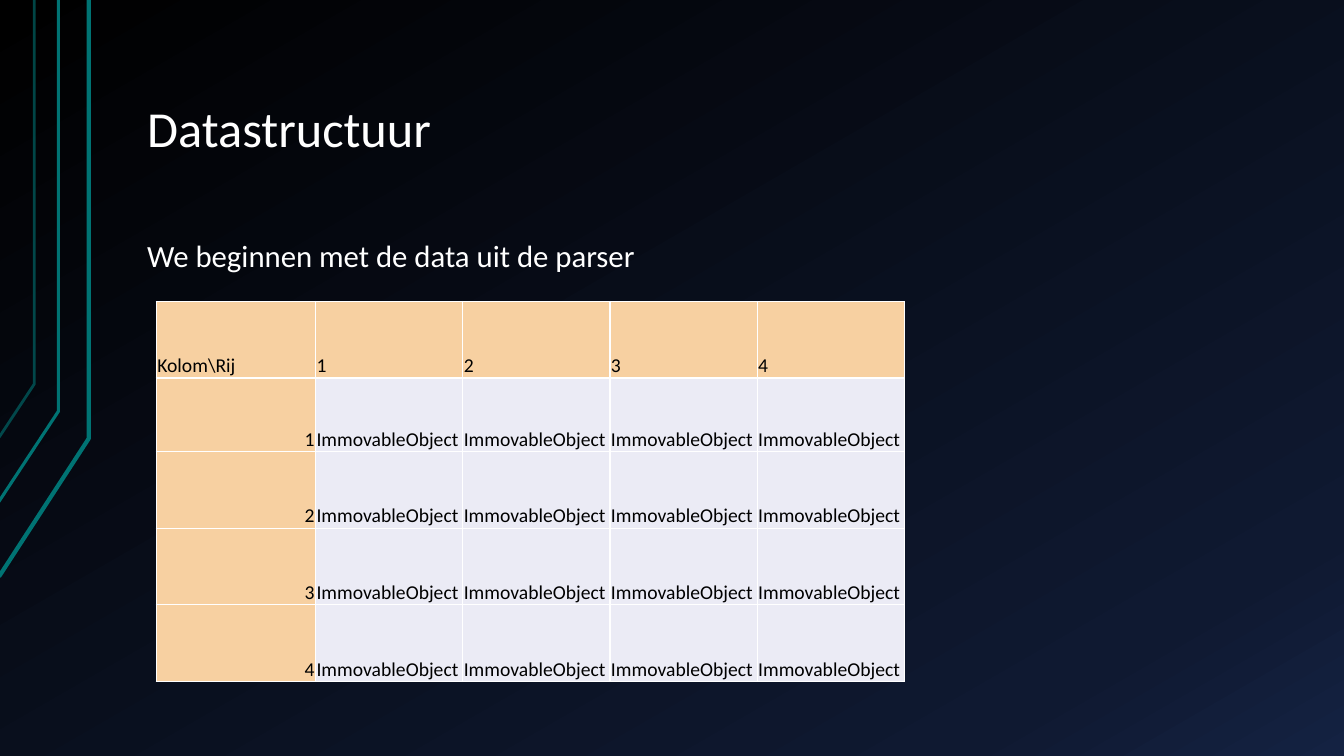
"""Build the Datastructuur slide with its table of parsed objects."""
import copy
import dataclasses

import lxml.etree
import pptx
import pptx.dml.color
import pptx.enum.text
import pptx.oxml.ns
import pptx.util

PX = 9144
FONT = "Calibri"
WHITE, BLACK, TEAL = "FFFFFF", "000000", "007373"
HEADER_FILL, BODY_FILL = "F7D0A1", "EBEBF5"
LEFT, RIGHT = pptx.enum.text.PP_ALIGN.LEFT, pptx.enum.text.PP_ALIGN.RIGHT
BOTTOM = pptx.enum.text.MSO_ANCHOR.BOTTOM
GRADIENT = [(0, "000000"), (0.85, "0F1931"), (1, "142242")]
COLUMNS = [158, 146, 146, 146, 146]
ROWS = [76, 73, 76, 76, 76]


@dataclasses.dataclass
class Trace:
    points: list[tuple[int, int]]
    width: float
    opacity: int = 100


@dataclasses.dataclass
class Heading:
    text: str
    top: int
    size: int


TRACES = [
    Trace([(-1, 572), (88, 435), (88, 0)], 3),
    Trace([(-2, 499), (58, 408), (58, 0)], 2.25),
    Trace([(-1, 434), (34, 381), (34, 0)], 2, 60),
]
TITLE = Heading("Datastructuur", 30, 36)
SUBTITLE = Heading("We beginnen met de data uit de parser", 145, 22)


def px(n: int) -> pptx.util.Emu:
    return pptx.util.Emu(n * PX)


def rgb(value: str) -> pptx.dml.color.RGBColor:
    return pptx.dml.color.RGBColor.from_string(value)


def add_run(p, text: str, size: int, color: str) -> None:
    r = p.add_run()
    r.text = text
    r.font.name = FONT
    r.font.size = pptx.util.Pt(size)
    r.font.color.rgb = rgb(color)


def paint_background(s) -> None:
    fill = s.background.fill
    fill.gradient()
    fill.gradient_angle = 300
    stops = s.element.find(".//" + pptx.oxml.ns.qn("a:gsLst"))
    stops.append(copy.deepcopy(stops[-1]))
    for stop, (position, color) in zip(fill.gradient_stops, GRADIENT):
        stop.position = position
        stop.color.rgb = rgb(color)


def draw_trace(s, trace: Trace) -> None:
    start, *rest = trace.points
    builder = s.shapes.build_freeform(*start, scale=PX)
    builder.add_line_segments(rest, close=False)
    sp = builder.convert_to_shape()
    sp.shadow.inherit = False
    sp.fill.background()
    sp.line.color.rgb = rgb(TEAL)
    sp.line.width = pptx.util.Pt(trace.width)
    if trace.opacity < 100:
        qn = pptx.oxml.ns.qn
        color = sp.element.find(".//" + qn("a:ln") + "//" + qn("a:srgbClr"))
        lxml.etree.SubElement(color, qn("a:alpha"), val=str(trace.opacity * 1000))


def write_heading(sp, heading: Heading) -> None:
    sp.left, sp.top, sp.width, sp.height = map(px, (133, heading.top, 1133, 134))
    tf = sp.text_frame
    tf.word_wrap = True
    tf.auto_size = pptx.enum.text.MSO_AUTO_SIZE.NONE
    tf.vertical_anchor = BOTTOM
    tf.margin_left = tf.margin_right = px(13)
    tf.margin_top = tf.margin_bottom = px(7)
    p = tf.paragraphs[0]
    p.alignment = LEFT
    p.line_spacing = 0.9
    add_run(p, heading.text, heading.size, WHITE)


def add_borders(cell) -> None:
    qn = pptx.oxml.ns.qn
    props = cell._tc.get_or_add_tcPr()
    for i, side in enumerate(("lnL", "lnR", "lnT", "lnB")):
        ln = props.makeelement(qn(f"a:{side}"), {"w": str(pptx.util.Pt(1))})
        solid = lxml.etree.SubElement(ln, qn("a:solidFill"))
        lxml.etree.SubElement(solid, qn("a:srgbClr"), val=WHITE)
        props.insert(i, ln)


def cell_text(row: int, column: int) -> str:
    if row and column:
        return "ImmovableObject"
    return str(row or column or "Kolom\\Rij")


def draw_table(s) -> None:
    box = map(px, (155, 299, sum(COLUMNS), sum(ROWS)))
    table = s.shapes.add_table(len(ROWS), len(COLUMNS), *box).table
    for column, width in zip(table.columns, COLUMNS):
        column.width = px(width)
    for i, height in enumerate(ROWS):
        table.rows[i].height = px(height)
        for j in range(len(COLUMNS)):
            cell = table.cell(i, j)
            cell.fill.solid()
            cell.fill.fore_color.rgb = rgb(BODY_FILL if i and j else HEADER_FILL)
            cell.vertical_anchor = BOTTOM
            cell.margin_left = cell.margin_right = cell.margin_top = px(1)
            cell.margin_bottom = 0
            add_borders(cell)
            p = cell.text_frame.paragraphs[0]
            p.alignment = RIGHT if i and not j else LEFT
            p.font.bold = False
            add_run(p, cell_text(i, j), 14, BLACK)
            p.runs[0].font.bold = False


def main() -> None:
    prs = pptx.Presentation()
    prs.slide_width, prs.slide_height = px(1333), px(750)
    s = prs.slides.add_slide(prs.slide_layouts[5])
    paint_background(s)
    for trace in TRACES:
        draw_trace(s, trace)
    write_heading(s.shapes.title, TITLE)
    draw_table(s)
    write_heading(s.shapes.add_textbox(0, 0, 0, 0), SUBTITLE)
    prs.save("out.pptx")


if __name__ == "__main__":
    main()
